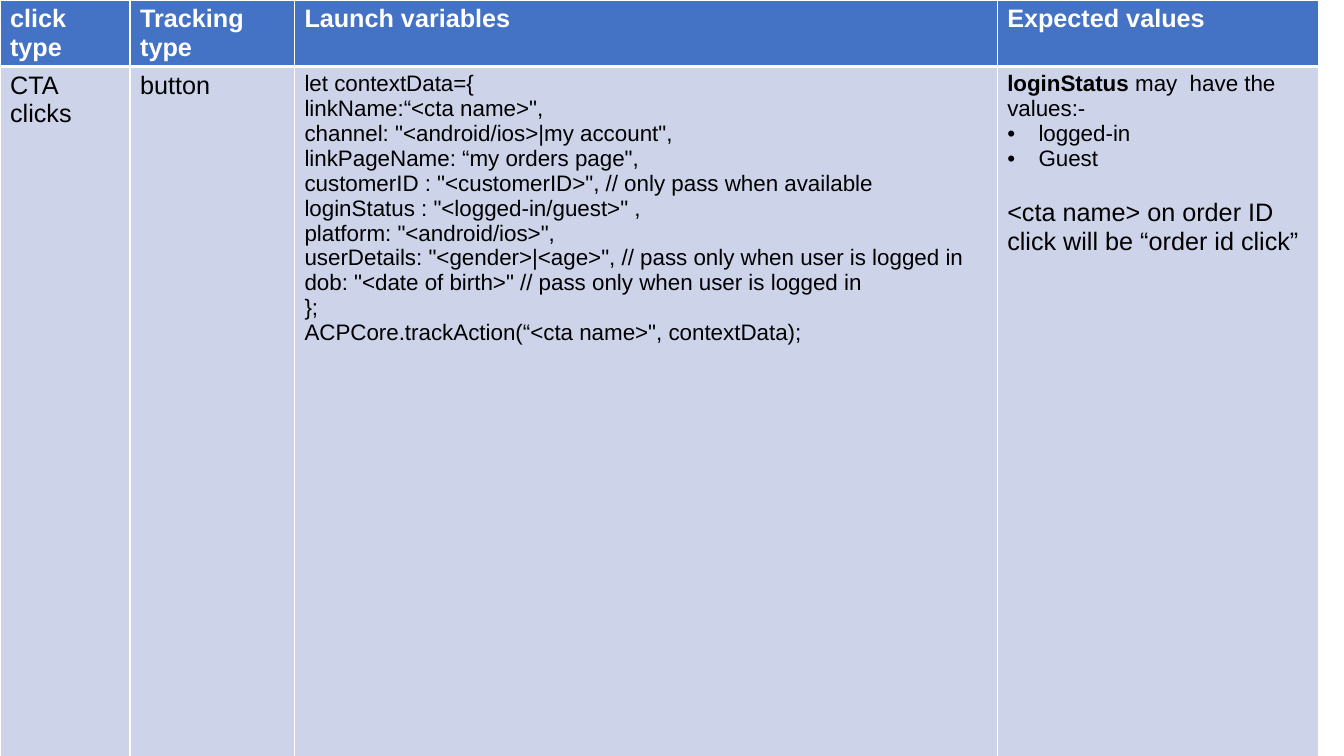
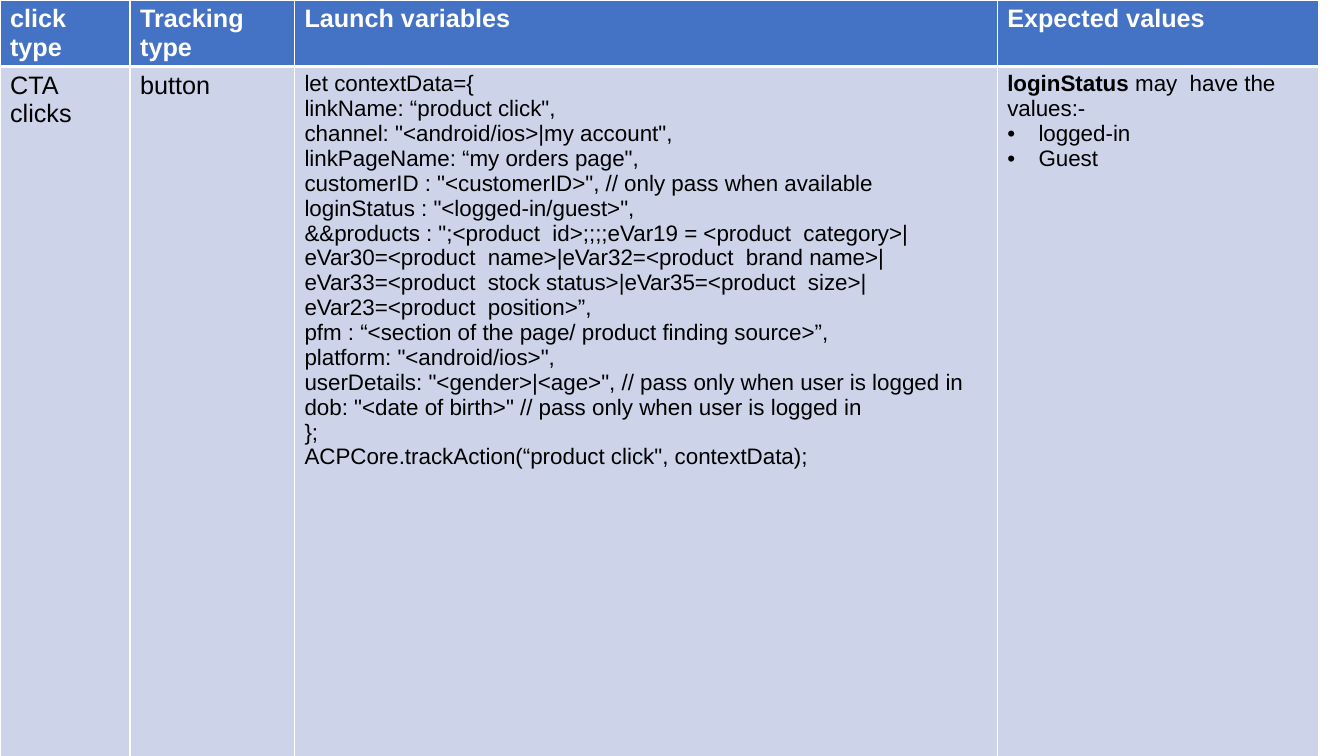
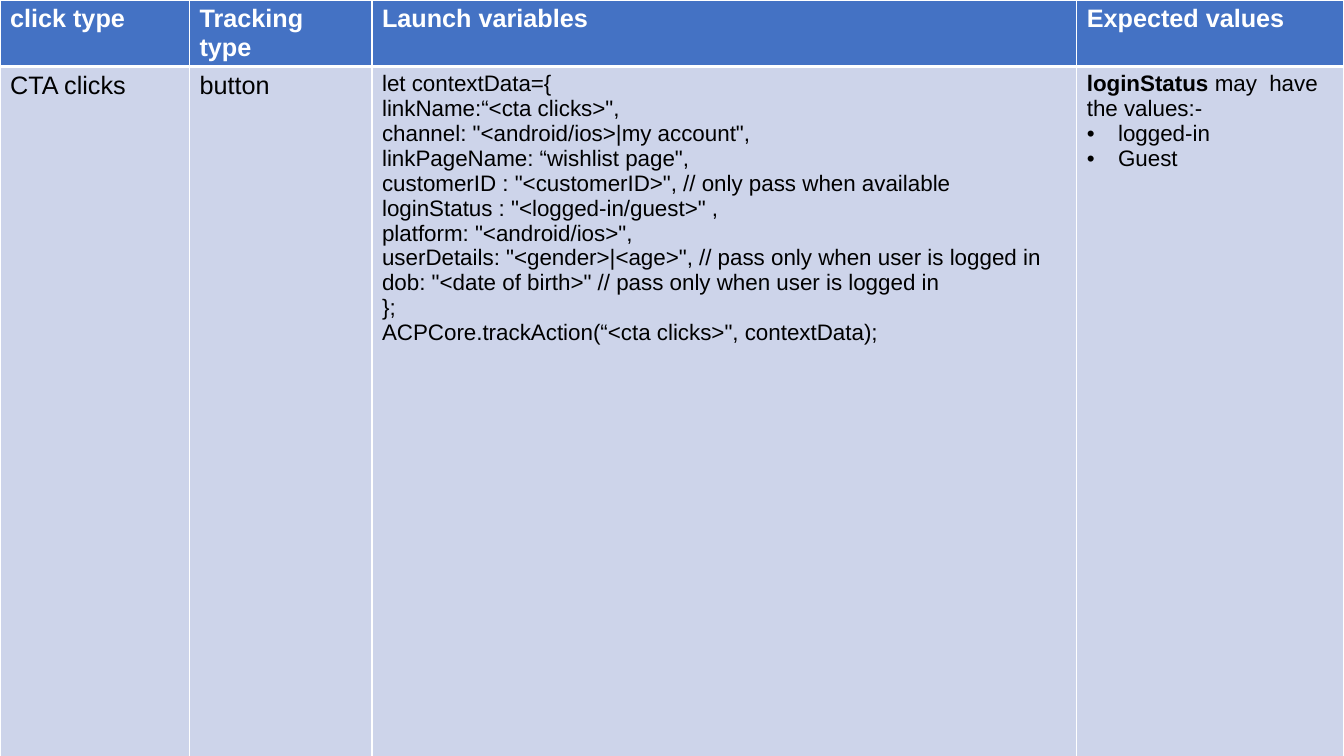
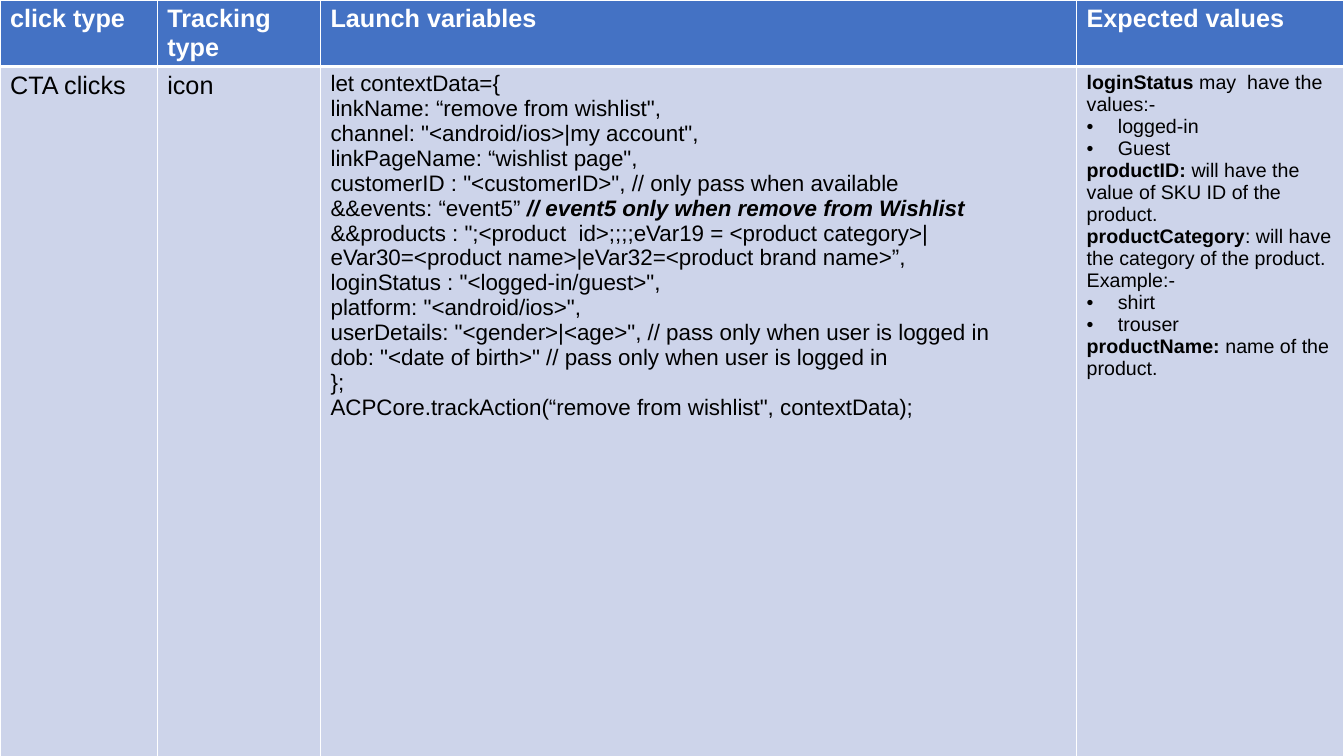
"""Build four slides of click-tracking specification tables."""
from lxml import etree
from pptx import Presentation
from pptx.dml.color import RGBColor
from pptx.oxml.ns import qn
from pptx.util import Inches, Pt

BLANK_LAYOUT = 6
BULLET_INDENT = Inches(0.31)
HEADINGS = ["click type", "Tracking type", "Launch variables", "Expected values"]
ROW_SHARES = [7.2, 91.87]
ORDER_COLUMNS = [9.68, 12.23, 52.29, 23.93]
WISHLIST_COLUMNS = [14.1, 13.58, 52.44, 19.88]
REMOVE_COLUMNS = [11.7, 12.15, 56.26, 19.88]
USER_LINES = [
    'platform: "<android/ios>",',
    'userDetails: "<gender>|<age>", // pass only when user is logged in',
    'dob: "<date of birth>" // pass only when user is logged in',
]


def color(code):
    return RGBColor.from_string(code)


def add_span(para, text, size=18, ink="000000", bold=False, italic=False):
    span = para.add_run()
    span.text = text
    font = span.font
    font.name = "Arial"
    font.size = Pt(size)
    font.color.rgb = color(ink)
    font.bold = bold
    font.italic = italic


def line(text, lead="", tail="", **options):
    return {"text": text, "lead": lead, "tail": tail, **options}


def code_lines(link, page_name, details, separator=" "):
    middle = [item if isinstance(item, dict) else line(item) for item in details]
    return [
        line("let contextData={"),
        line(f'linkName:{separator}“{link}",'),
        line('channel: "<android/ios>|my account",'),
        line(f'linkPageName: “{page_name}",'),
        line('customerID : "<customerID>", // only pass when available'),
        *middle,
        *map(line, USER_LINES),
        line("};"),
        line(f'ACPCore.trackAction(“{link}", contextData);'),
    ]


def bullets(*texts):
    return [line(text, bullet=True) for text in texts]


def login_values():
    return [line("may  have the values:-", lead="loginStatus "),
            *bullets("logged-in", "Guest")]


class TrackingDeck:
    """Hold the table style and the current slide."""

    header_fill = "4472C4"
    body_fill = "CDD4EA"
    border = "FFFFFF"

    def __init__(self):
        self.deck = Presentation()
        self.deck.slide_width = Inches(13.33)
        self.deck.slide_height = Inches(7.5)
        self.page = None

    def add_page(self):
        self.page = self.deck.slides.add_slide(self.deck.slide_layouts[BLANK_LAYOUT])

    def add_bullet(self, para):
        props = para._p.get_or_add_pPr()
        props.set("marL", str(BULLET_INDENT))
        props.set("indent", str(-BULLET_INDENT))
        etree.SubElement(props, qn("a:buFont")).set("typeface", "Arial")
        etree.SubElement(props, qn("a:buChar")).set("char", "•")

    def add_borders(self, cell, top, bottom):
        props = cell._tc.get_or_add_tcPr()
        for side, width in {"L": 1, "R": 1, "T": top, "B": bottom}.items():
            edge = etree.SubElement(props, qn(f"a:ln{side}"), w=str(Pt(width)))
            fill = etree.SubElement(edge, qn("a:solidFill"))
            etree.SubElement(fill, qn("a:srgbClr")).set("val", self.border)

    def fill_cell(self, cell, lines, size=18, header=False):
        self.add_borders(cell, *((1, 3) if header else (3, 1)))
        cell.fill.solid()
        cell.fill.fore_color.rgb = color(self.header_fill if header else self.body_fill)
        ink = "FFFFFF" if header else "000000"
        frame = cell.text_frame
        for index, item in enumerate(lines):
            para = frame.add_paragraph() if index else frame.paragraphs[0]
            if item.get("bullet"):
                self.add_bullet(para)
            if "before" in item:
                para.space_before = Pt(item["before"])
            text_size = item.get("size", size)
            if item["lead"]:
                add_span(para, item["lead"], text_size, ink, bold=True)
            add_span(para, item["text"], text_size, ink, bold=header)
            if item["tail"]:
                add_span(para, item["tail"], text_size, ink, bold=True, italic=True)

    def add_tracking_table(self, columns, kind, code, values, value_size=16):
        width, height = self.deck.slide_width, self.deck.slide_height
        table = self.page.shapes.add_table(
            len(ROW_SHARES), len(columns), 0, 0,
            int(width * sum(columns) / 100), int(height * sum(ROW_SHARES) / 100)).table
        table.horz_banding = False
        for column, share in zip(table.columns, columns):
            column.width = int(width * share / 100)
        for row, share in zip(table.rows, ROW_SHARES):
            row.height = int(height * share / 100)
        for index, heading in enumerate(HEADINGS):
            self.fill_cell(table.cell(0, index), [line(heading)], header=True)
        body = [([line("CTA clicks")], 18), ([line(kind)], 18),
                (code, 16), (values, value_size)]
        for index, (lines, size) in enumerate(body):
            self.fill_cell(table.cell(1, index), lines, size)


def main():
    tracking = TrackingDeck()
    login_spaced = 'loginStatus : "<logged-in/guest>" ,'
    login = 'loginStatus : "<logged-in/guest>",'

    tracking.add_page()
    order_note = line("<cta name> on order ID click will be “order id click”",
                      size=18, before=20)
    tracking.add_tracking_table(
        ORDER_COLUMNS, "button",
        code_lines("<cta name>", "my orders page", [login_spaced], separator=""),
        [*login_values(), order_note])

    tracking.add_page()
    product_details = [
        login,
        '&&products : ";<product  id>;;;;eVar19 = <product  category>|'
        "eVar30=<product  name>|eVar32=<product  brand name>|"
        "eVar33=<product  stock status>|eVar35=<product  size>|"
        "eVar23=<product  position>”,",
        "pfm : “<section of the page/ product finding source>”,",
    ]
    tracking.add_tracking_table(
        ORDER_COLUMNS, "button",
        code_lines("product click", "my orders page", product_details),
        login_values())

    tracking.add_page()
    tracking.add_tracking_table(
        WISHLIST_COLUMNS, "button",
        code_lines("<cta clicks>", "wishlist page", [login_spaced], separator=""),
        login_values())

    tracking.add_page()
    remove_details = [
        line("&&events: “event5” ", tail="// event5 only when remove from Wishlist"),
        '&&products : ";<product  id>;;;;eVar19 = <product category>|'
        "eVar30=<product name>|eVar32=<product brand name>”,",
        login,
    ]
    product_values = [
        line(" will have the value of SKU ID of the product.", lead="productID:"),
        line(": will have the category of the product. Example:-",
             lead="productCategory"),
        *bullets("shirt", "trouser"),
        line("name of the product.", lead="productName: "),
    ]
    tracking.add_tracking_table(
        REMOVE_COLUMNS, "icon",
        code_lines("remove from wishlist", "wishlist page", remove_details),
        [*login_values(), *product_values], value_size=14)

    tracking.deck.save("out.pptx")


if __name__ == "__main__":
    main()
